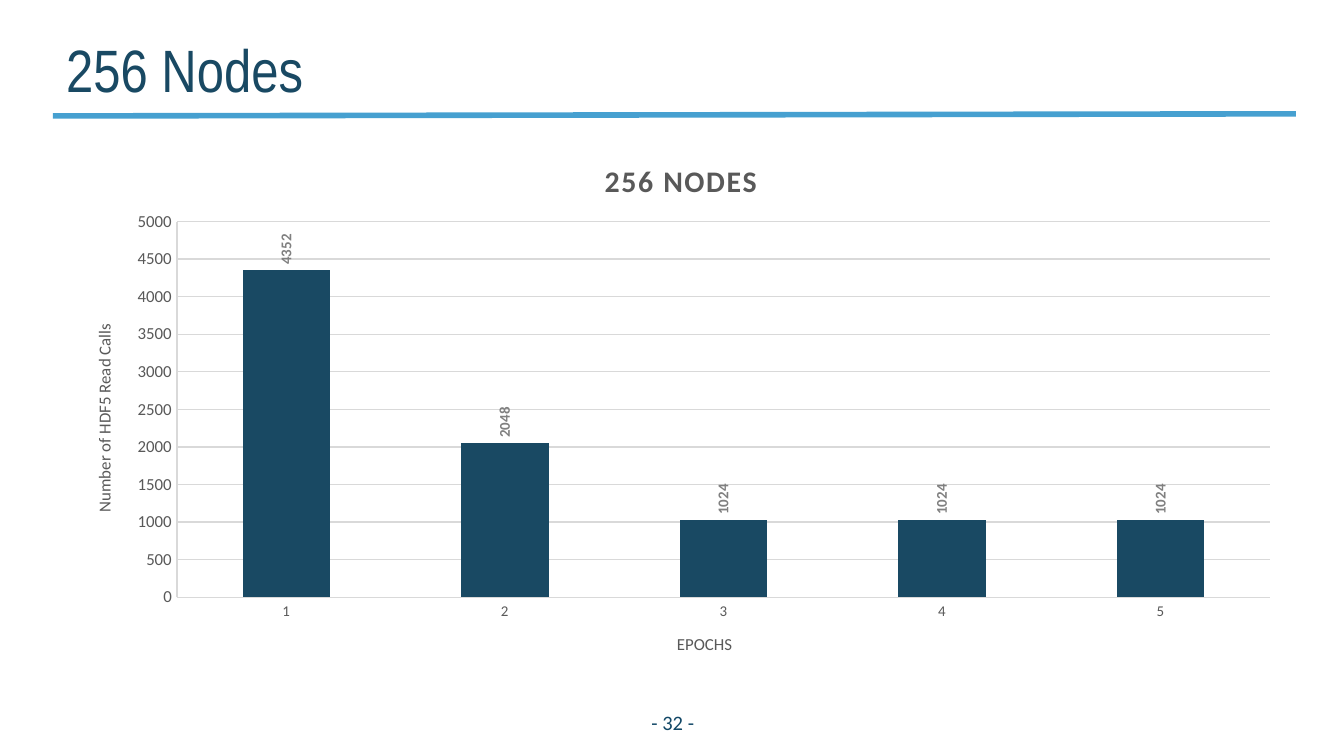
from lxml.etree import SubElement
from pptx import Presentation
from pptx.chart.data import CategoryChartData
from pptx.dml.color import RGBColor
from pptx.enum.chart import XL_CHART_TYPE, XL_LABEL_POSITION, XL_TICK_MARK
from pptx.enum.shapes import MSO_CONNECTOR
from pptx.enum.text import MSO_ANCHOR, PP_ALIGN
from pptx.oxml import parse_xml
from pptx.oxml.ns import nsdecls, qn
from pptx.util import Cm, Pt

HUES = {"navy": "194963", "page": "114766", "sky": "46A0D0",
        "gray": "595959", "label": "808080", "grid": "D9D9D9"}
CALLS = {"1": 4352, "2": 2048, "3": 1024, "4": 1024, "5": 1024}


def hue(name):
    return RGBColor.from_string(HUES[name])


def style(font, size, color, face="Calibri", bold=False):
    font.size = Pt(size)
    font.name = face
    font.bold = bold
    font.color.rgb = hue(color)


def write(frame, text, align=None, gap=0, **form):
    """Fill a text frame with one formatted run."""
    para = frame.paragraphs[0]
    para.alignment = align
    run = para.add_run()
    run.text = text
    style(run.font, **form)
    if gap:
        run.font._element.set("spc", str(gap))


def add_text(slide, box, text, anchor, inset=0.25, **form):
    frame = slide.shapes.add_textbox(*map(Cm, box)).text_frame
    frame.word_wrap = True
    frame.vertical_anchor = anchor
    frame.margin_left = frame.margin_right = Cm(inset)
    frame.margin_top = frame.margin_bottom = 0
    write(frame, text, **form)


def add_rule(slide, start, end, color, width):
    line = slide.shapes.add_connector(
        MSO_CONNECTOR.STRAIGHT, *map(Cm, start + end))
    line.line.color.rgb = hue(color)
    line.line.width = Pt(width)
    SubElement(line._element.spPr, qn("a:effectLst"))


def place(item, index, **spots):
    """Set a manual layout, in fractions of the chart, on a chart part."""
    for old in item.findall(qn("c:layout")):
        item.remove(old)
    inner = '<c:layoutTarget val="inner"/>' if "w" in spots else ""
    modes = "".join(f'<c:{key}Mode val="edge"/>' for key in "xy")
    sizes = "".join(f'<c:{key} val="{val}"/>' for key, val in spots.items())
    item.insert(index, parse_xml(
        f'<c:layout {nsdecls("c")}><c:manualLayout>{inner}{modes}{sizes}'
        '</c:manualLayout></c:layout>'))


def turn(body):
    body.set("rot", "-5400000")
    body.set("vert", "horz")


def set_line(form):
    form.line.color.rgb = hue("grid")
    form.line.width = Pt(0.75)


def set_axis(axis, text, size, x, y):
    axis.major_tick_mark = axis.minor_tick_mark = XL_TICK_MARK.NONE
    style(axis.tick_labels.font, size, "gray")
    set_line(axis.format)
    write(axis.axis_title.text_frame, text, size=9, color="gray")
    place(axis.axis_title._element, 1, x=x, y=y)


def add_bars(slide, box):
    data = CategoryChartData()
    data.categories = list(CALLS)
    data.add_series("Series 1", list(CALLS.values()))
    chart = slide.shapes.add_chart(
        XL_CHART_TYPE.COLUMN_CLUSTERED, *map(Cm, box), data).chart
    chart.has_legend = False
    chart.font.name = "Calibri"
    chart.font.size = Pt(10)

    # Chart title and plot area
    write(chart.chart_title.text_frame, "256 NODES", gap=100,
          size=16, color="gray", bold=True)
    place(chart.chart_title._element, 1, x=0.44, y=0.05)
    place(chart._chartSpace.chart.plotArea, 0, x=0.1, y=0.17, w=0.88, h=0.68)

    # Axes
    set_axis(chart.category_axis, "EPOCHS", 8, x=0.5, y=0.91)
    side = chart.value_axis
    set_axis(side, "Number of HDF5 Read Calls", 9, x=0.03, y=0.35)
    turn(side.axis_title.text_frame._txBody.bodyPr)
    side.minimum_scale, side.maximum_scale, side.major_unit = 0, 5000, 500
    side.has_major_gridlines = True
    set_line(side.major_gridlines.format)

    # Columns and their labels
    plot = chart.plots[0]
    plot.gap_width = 150
    plot.vary_by_categories = False
    bars = plot.series[0]
    bars.format.fill.solid()
    bars.format.fill.fore_color.rgb = hue("navy")
    labels = bars.data_labels
    labels.show_value = True
    labels.position = XL_LABEL_POSITION.OUTSIDE_END
    style(labels.font, 8, "label", bold=True)
    turn(labels._element.find(qn("c:txPr")).find(qn("a:bodyPr")))


def main():
    deck = Presentation()
    deck.slide_width, deck.slide_height = Cm(25.4), Cm(14.28)
    slide = deck.slides.add_slide(deck.slide_layouts[6])

    # Heading
    add_rule(slide, (1, 2.19), (24.49, 2.15), "sky", 3)
    add_text(slide, (1, 0.38, 18.95, 1.6), "256 Nodes", MSO_ANCHOR.BOTTOM,
             size=32, color="navy", face="Arial Narrow")

    # Chart
    add_bars(slide, (1, 2.41, 23.47, 10.44))

    # Page number
    add_text(slide, (11.43, 13.26, 2.57, 0.76), "- 32 -", MSO_ANCHOR.MIDDLE,
             align=PP_ALIGN.CENTER, size=11, color="page")

    deck.save("out.pptx")


if __name__ == "__main__":
    main()
